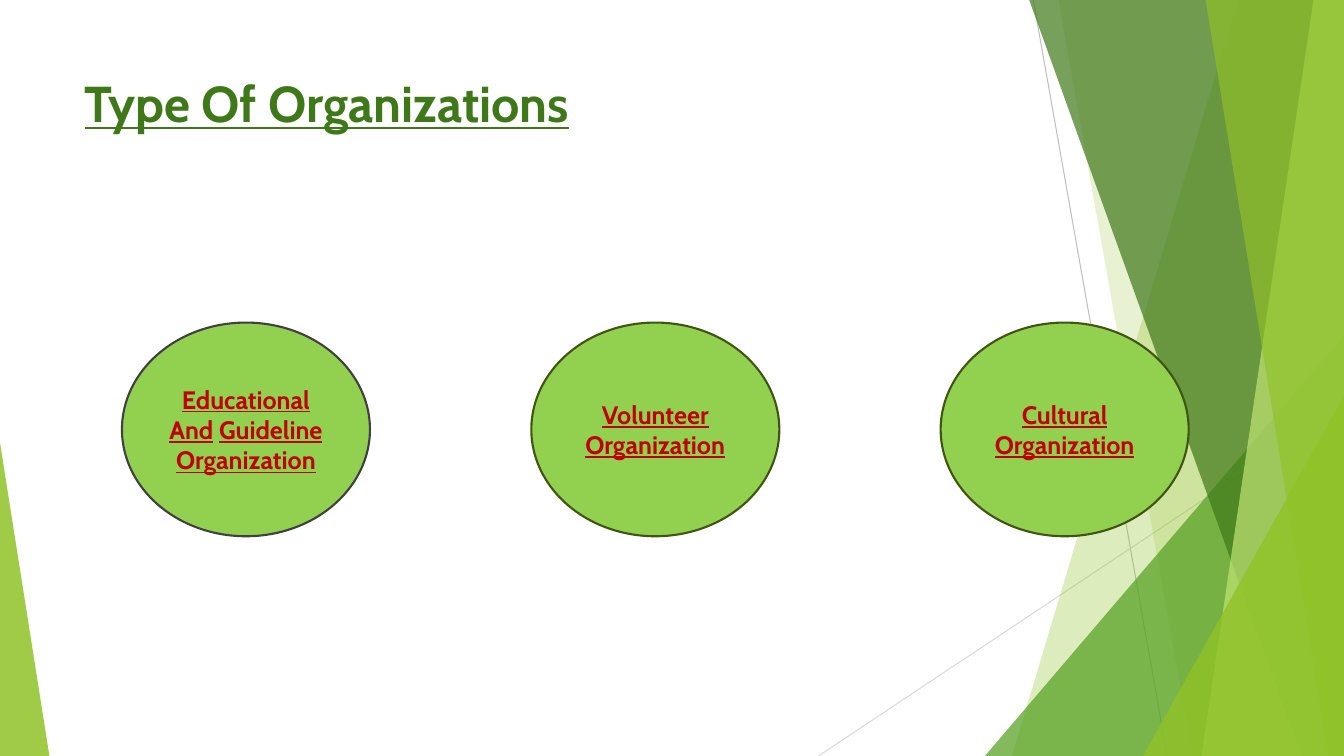
from lxml.etree import SubElement
from pptx import Presentation
from pptx.dml.color import RGBColor
from pptx.enum.shapes import MSO_CONNECTOR, MSO_SHAPE
from pptx.enum.text import MSO_ANCHOR, PP_ALIGN
from pptx.oxml.ns import qn
from pptx.util import Inches, Pt

FONT = "Cabin"
LIME = RGBColor(0x90, 0xC2, 0x26)
PALE_LIME = RGBColor(0xC0, 0xE4, 0x74)
GREEN = RGBColor(0x54, 0xA0, 0x21)
DARK_GREEN = RGBColor(0x3F, 0x78, 0x19)
OVAL_GREEN = RGBColor(0x92, 0xD0, 0x50)
OLIVE = RGBColor(0x3F, 0x55, 0x11)
CHARCOAL = RGBColor(0x40, 0x40, 0x40)
MID_GREY = RGBColor(0xBF, 0xBF, 0xBF)
LIGHT_GREY = RGBColor(0xD9, 0xD9, 0xD9)
RED = RGBColor(0xC0, 0x00, 0x00)

# Decoration in percent of the slide's width and height
RAYS = [((76.88, 0), (86.85, 100), MID_GREY),
        ((100, 53.73), (60.9, 100), LIGHT_GREY)]
# Shards reach the right edge: left side at top, at bottom, colour, opacity
BACK_SHARDS = [(92.1, 75.3, LIME, 30), (78.75, 88.73, LIME, 20)]
FRONT_SHARDS = [(76.58, 96.83, DARK_GREEN, 70),
                (97.73, 89.4, PALE_LIME, 70),
                (89.7, 98.85, LIME, 65)]
# Corners stand on the bottom edge: left, right, top, apex, colour, opacity
BACK_CORNER = (73.28, 100, 44.4, 1, GREEN, 72)
FRONT_CORNERS = [(85.05, 100, 52.4, 1, LIME, 80),
                 (0, 3.68, 58.53, 0, LIME, 85)]

ORGANIZATIONS = [(["Educational And Guideline", "Organization"], CHARCOAL),
                 (["Volunteer", "Organization"], OLIVE),
                 (["Cultural", "Organization"], OLIVE)]


def paint(s, color, opacity):
    """Fill a shape with a translucent colour and no outline."""
    s.shadow.inherit = False
    s.fill.solid()
    s.fill.fore_color.rgb = color
    s.line.fill.background()
    clr = s.fill._xPr.find(qn("a:solidFill"))[0]
    SubElement(clr, qn("a:alpha")).set("val", str(opacity * 1000))


def format_run(r, size, color, marked=True):
    r.font.name = FONT
    r.font.size = Pt(size)
    r.font.color.rgb = color
    r.font.bold = r.font.underline = marked


def add_backdrop(slide, width, height):
    def x(percent):
        return round(width * percent / 100)

    def y(percent):
        return round(height * percent / 100)

    def add_shard(top, bottom, color, opacity):
        outline = slide.shapes.build_freeform(x(top), 0)
        outline.add_line_segments([(width, 0), (width, height), (x(bottom), height)])
        paint(outline.convert_to_shape(), color, opacity)

    def add_corner(left, right, top, apex, color, opacity):
        s = slide.shapes.add_shape(MSO_SHAPE.ISOSCELES_TRIANGLE, x(left), y(top),
                                   x(right - left), y(100 - top))
        s.adjustments[0] = apex
        paint(s, color, opacity)

    # Thin rays
    for start, end, color in RAYS:
        ray = slide.shapes.add_connector(MSO_CONNECTOR.STRAIGHT, x(start[0]), y(start[1]),
                                         x(end[0]), y(end[1]))
        ray.line.color.rgb = color
        ray.line.width = Pt(0.75)
        SubElement(ray._element.spPr, qn("a:effectLst"))

    # Overlapping shards and corners, back to front
    for shard in BACK_SHARDS:
        add_shard(*shard)
    add_corner(*BACK_CORNER)
    for shard in FRONT_SHARDS:
        add_shard(*shard)
    for corner in FRONT_CORNERS:
        add_corner(*corner)


def add_title(slide, text, left, top, width, height):
    title = slide.shapes.title
    title.left, title.top, title.width, title.height = left, top, width, height
    tf = title.text_frame
    tf.text = text
    tf.vertical_anchor = MSO_ANCHOR.TOP
    p = tf.paragraphs[0]
    p.alignment = PP_ALIGN.LEFT
    format_run(p.runs[0], 36, DARK_GREEN)


def add_oval(slide, lines, outline, left, top, width, height):
    s = slide.shapes.add_shape(MSO_SHAPE.OVAL, left, top, width, height)
    s.shadow.inherit = False
    s.fill.solid()
    s.fill.fore_color.rgb = OVAL_GREEN
    s.line.color.rgb = outline
    s.line.width = Pt(1.5)
    tf = s.text_frame
    tf.word_wrap = True
    tf.margin_left = tf.margin_right = Inches(0.05)
    tf.vertical_anchor = MSO_ANCHOR.MIDDLE
    for i, line in enumerate(lines):
        p = tf.paragraphs[0] if i == 0 else tf.add_paragraph()
        p.alignment = PP_ALIGN.CENTER
        # Words are underlined, the spaces between them are not
        for j, word in enumerate(line.split()):
            if j:
                r = p.add_run()
                r.text = " "
                format_run(r, 18, RED, marked=False)
            r = p.add_run()
            r.text = word
            format_run(r, 18, RED)


def add_oval_row(slide, left, top, width, height):
    """Spread the ovals evenly over the box."""
    oval_width = Inches(2.46)
    step = (width - oval_width) // (len(ORGANIZATIONS) - 1)
    for i, (lines, outline) in enumerate(ORGANIZATIONS):
        add_oval(slide, lines, outline, left + i * step, top, oval_width, height)


def main():
    prs = Presentation()
    prs.slide_width, prs.slide_height = Inches(13.33), Inches(7.5)
    slide = prs.slides.add_slide(prs.slide_layouts[5])
    add_backdrop(slide, prs.slide_width, prs.slide_height)
    add_title(slide, "Type Of Organizations",
              Inches(0.74), Inches(0.67), Inches(9.4), Inches(1.44))
    add_oval_row(slide, Inches(1.21), Inches(3.2), Inches(10.58), Inches(2.12))
    prs.save("out.pptx")


if __name__ == "__main__":
    main()
